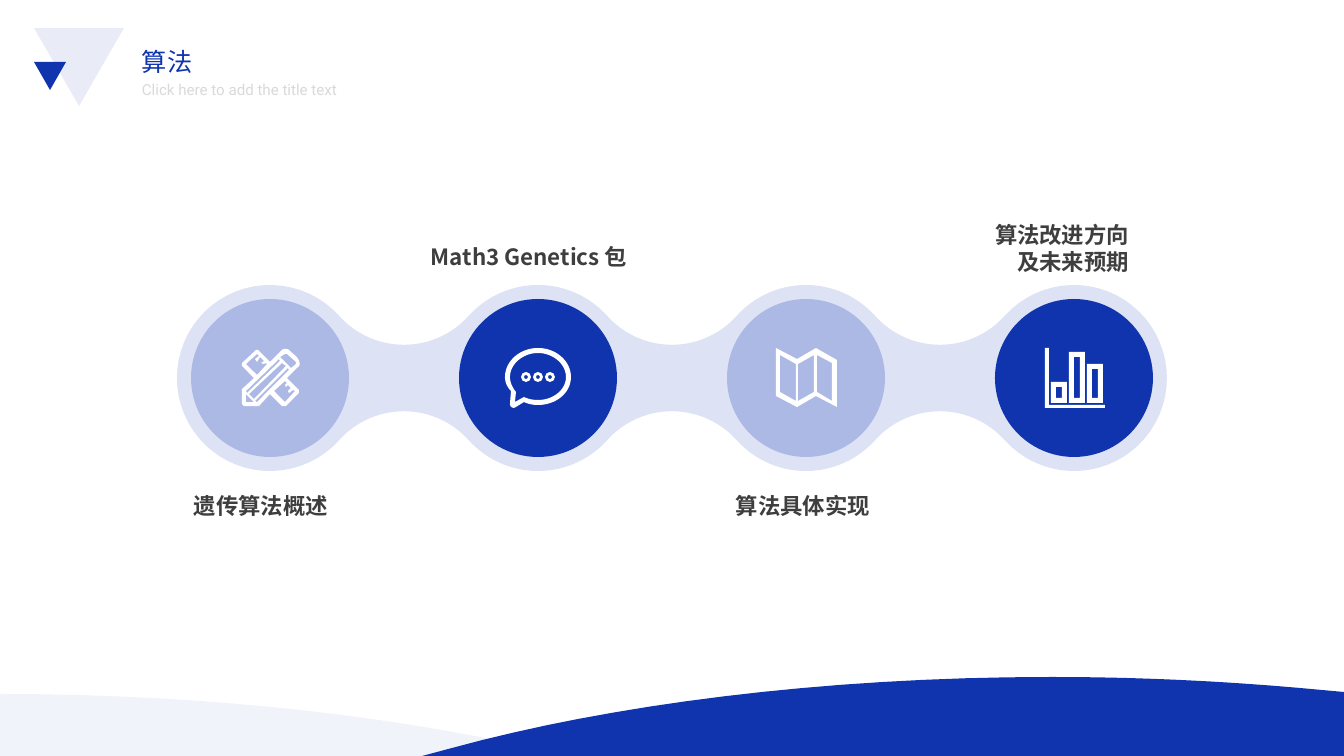
from math import atan2, cos, hypot, pi, sin
from pptx import Presentation
from pptx.dml.color import RGBColor as Rgb
from pptx.enum.shapes import MSO_SHAPE as Preset
from pptx.enum.text import PP_ALIGN as Align
from pptx.oxml.ns import qn
from pptx.util import Emu, Pt
from lxml.etree import SubElement

PX = 914400 / 100.8
COLORS = {"blue": "0F34AE", "pale": "ADB9E5", "chain": "DDE2F4",
          "white": "FFFFFF", "label": "3E3E3E", "hint": "D9D9D9"}
LATIN, CJK = "Roboto", "Noto Sans CJK JP"


def px(length):
    return Emu(round(length * PX))


def paint(shape, color, alpha=None):
    shape.shadow.inherit = False
    shape.fill.solid()
    shape.fill.fore_color.rgb = Rgb.from_string(COLORS[color])
    shape.line.fill.background()
    if alpha:
        tint = shape.fill._xPr.find(qn("a:solidFill"))[0]
        SubElement(tint, qn("a:alpha"), val=str(alpha * 1000))


def add_preset(page, kind, box, color, alpha=None, rotation=0):
    shape = page.shapes.add_shape(kind, *map(px, box))
    shape.rotation = rotation
    paint(shape, color, alpha)


def trace(steps):
    """Turn points and six-number Bezier steps into a list of points."""
    points = []
    for step in steps:
        if len(step) == 2:
            points.append(step)
            continue
        ends = [points[-1], step[:2], step[2:4], step[4:]]
        for k in range(1, 17):
            t = k / 16
            weights = (1 - t) ** 3, 3 * t * (1 - t) ** 2, 3 * t * t * (1 - t), t ** 3
            points.append(tuple(sum(w * end[axis] for w, end in zip(weights, ends))
                                for axis in (0, 1)))
    return points


def arc(x, y, radius, start, end, count=24):
    angles = [start + (end - start) * k / count for k in range(count + 1)]
    return [(x + radius * cos(a), y - radius * sin(a)) for a in angles]


def add_outline(page, contours, color, alpha=None, origin=(0, 0)):
    """Draw contours as one shape; inner contours become holes."""
    builder = None
    for steps in contours:
        first, *rest = [(px(origin[0] + x), px(origin[1] + y)) for x, y in trace(steps)]
        if builder is None:
            builder = page.shapes.build_freeform(*first, scale=1.0)
        else:
            builder.move_to(*first)
        builder.add_line_segments(rest, close=True)
    paint(builder.convert_to_shape(), color, alpha)


def add_text(page, box, lines, size, font, color, bold=False, align=Align.LEFT, wrap=True):
    frame = page.shapes.add_textbox(*map(px, box)).text_frame
    frame.word_wrap = wrap
    frame.text = "\n".join(lines)
    for para in frame.paragraphs:
        para.alignment = align
        para.font.size, para.font.name, para.font.bold = Pt(size), font, bold
        para.font.color.rgb = Rgb.from_string(COLORS[color])
        for span in para.runs:
            SubElement(span.font._element, qn("a:ea"), typeface=font)


# Icon contours, measured from the bead centre
def rect(left, top, right, bottom):
    return [(left, top), (right, top), (right, bottom), (left, bottom)]


def tools_icon():
    return [
        [(17, 0), (29, 12), (29, 15), (16, 28), (12, 28), (0, 16), (-11, 28), (-26, 28),
         (-28, 26), (-28, 11), (-16, 0), (-28, -12), (-28, -15), (-14, -28), (-12, -28),
         (0, -16), (11, -27), (13, -30, 18, -30, 20, -27), (22, -25, 28, -21, 29, -17),
         (30, -15, 30, -12, 28, -11)],
        # Ruler ends
        [(-13, -16), (-15, -19), (-11, -22), (-13, -24), (-24, -14), (-13, -3),
         (-3, -14), (-4, -15), (-6, -14), (-9, -15), (-6, -17), (-10, -21)],
        [(4, 13), (15, 24), (25, 13), (23, 12), (19, 15), (18, 13), (21, 10), (18, 7),
         (16, 9), (15, 7), (17, 5), (15, 3)],
        # Pencil stripes, tip and eraser
        [(-16, 21), (16, -12), (12, -15), (-21, 16)],
        [(18, -10), (-15, 23), (-13, 24), (19, -8)],
        [(-23, 15), (10, -17), (9, -19), (-24, 13)],
        [(-24, 16), (-24, 24), (-16, 24)],
        [(19, -12), (21, -10), (26, -14), (26, -16), (17, -24), (15, -24), (10, -21),
         (12, -19)],
    ]


def bubble_icon():
    outer = [(0, -30), (18, -30, 33, -17, 33, -1), (33, 15, 18, 27, 0, 27),
             (-5, 27, -10, 26, -14, 24), (-22, 29), (-25, 31, -28, 29, -28, 26),
             (-27, 13), (-31, 9, -33, 4, -33, -1), (-33, -17, -18, -30, 0, -30)]
    inner = [(0, -25), (15, -25, 28, -14, 28, -1), (28, 12, 15, 22, 0, 22),
             (-5, 22, -10, 21, -14, 19), (-23, 24), (-22, 14),
             (-26, 9, -28, 4, -28, -1), (-28, -14, -15, -25, 0, -25)]
    dots = [arc(x, -1, radius, 0, 2 * pi, 8) for x in (-12, 0, 12) for radius in (5, 2)]
    return [outer, inner, *dots]


def map_icon():
    return [
        [(-30, -30), (-9, -19), (10, -30), (31, -18), (31, 29), (10, 18), (-9, 29), (-30, 18)],
        [(-26, -23), (-10, -14), (-10, 23), (-26, 14)],
        [(-8, -14), (8, -23), (8, 14), (-8, 23)],
        [(11, -23), (26, -15), (26, 23), (11, 14)],
    ]


def bars_icon():
    contours = [[(-29, -30), (-25, -30), (-25, 27), (31, 27), (31, 30), (-29, 30)]]
    for left, top in ((-23, 4), (-5, -26), (13, -14)):
        contours += [rect(left, top, left + 16, 25), rect(left + 5, top + 5, left + 11, 20)]
    return contours


def add_hills(page, box):
    left, top, width, height = box
    add_outline(page, [[(422, height), (452, 71), (609, 28, 820, 0, 1051, 0),
                        (1137, 0, 1220, 4, 1300, 11), (width, 15), (width, height)]],
                "blue", origin=(left, top))
    add_outline(page, [[(0, 17), (216, 17, 413, 41, 566, height), (0, height)]],
                "blue", 6, origin=(left, top))


def add_header(page, box):
    left, top, width, height = box
    add_preset(page, Preset.ISOSCELES_TRIANGLE, (left, top, 90, height), "blue", 9, 180)
    add_preset(page, Preset.ISOSCELES_TRIANGLE, (left, top + 34, 32, 28), "blue", None, 180)
    add_text(page, (left + 98, top + 13, 72, 40), ["算法"], 18, LATIN, "blue", wrap=False)
    add_text(page, (left + 98, top + 47, width - 98, 28), ["Click here to add the title text"],
             10.8, LATIN, "hint", wrap=False)


def add_chain(page, box):
    left, top, width, height = box
    radius, middle, scoop, count = height / 2, top + height / 2, 87, 4
    pitch = (width - height) / (count - 1)
    centers = [left + radius + pitch * i for i in range(count)]

    # Beads joined by scooped necks tangent to them
    rise = ((radius + scoop) ** 2 - (pitch / 2) ** 2) ** 0.5
    joint = atan2(rise, pitch / 2)
    upper = []
    for i, x in enumerate(centers):
        last = i == count - 1
        upper += arc(x, middle, radius, pi - joint if i else pi, 0 if last else joint)
        if not last:
            upper += arc(x + pitch / 2, middle - rise, scoop, pi + joint, 2 * pi - joint)
    lower = [(x, 2 * middle - y) for x, y in reversed(upper)]
    add_outline(page, [upper + lower], "chain")

    # Discs and icons
    icons = (tools_icon, bubble_icon, map_icon, bars_icon)
    for i, (x, icon) in enumerate(zip(centers, icons)):
        disc = (x - 79, middle - 79, 158, 158)
        add_preset(page, Preset.OVAL, disc, "blue" if i % 2 else "pale")
        add_outline(page, icon(), "white", origin=(x, middle))

    # Labels
    for x, y, w, h, lines, align in (
            (7, 202, 172, 37, ["遗传算法概述"], Align.LEFT),
            (244, -47, 241, 37, ["Math3 Genetics 包"], Align.LEFT),
            (549, 202, 172, 37, ["算法具体实现"], Align.LEFT),
            (790, -69, 172, 64, ["算法改进方向", "及未来预期"], Align.RIGHT)):
        add_text(page, (left + x, top + y, w, h), lines, 16, CJK, "label", True, align)


def main():
    deck = Presentation()
    deck.slide_width, deck.slide_height = px(1344), px(756)
    page = deck.slides.add_slide(deck.slide_layouts[6])
    add_hills(page, (0, 677, 1344, 79))
    add_header(page, (34, 28, 388, 78))
    add_chain(page, (177, 285, 990, 186))
    deck.save("out.pptx")


if __name__ == "__main__":
    main()
